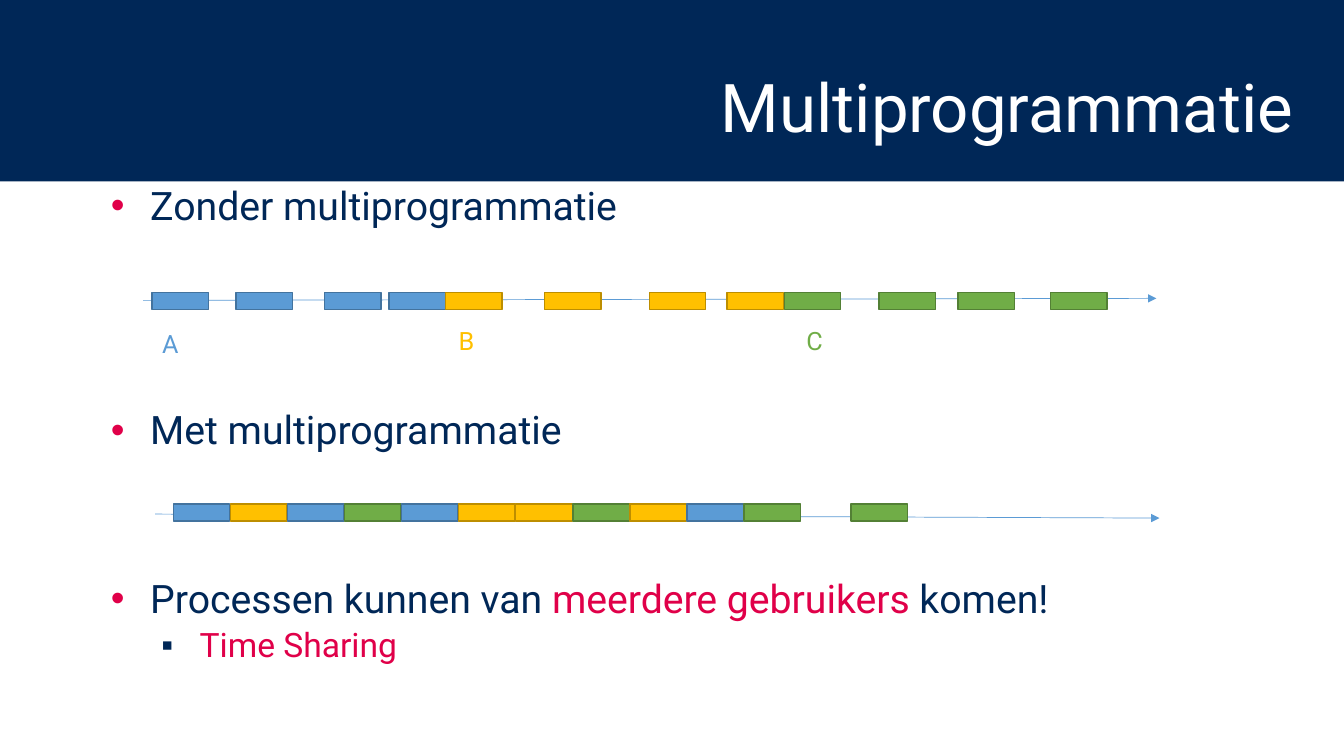
"""Builds a slide comparing process timelines without and with multiprogramming."""
from dataclasses import dataclass

from lxml import etree
from pptx import Presentation
from pptx.dml.color import RGBColor
from pptx.enum.shapes import MSO_CONNECTOR, MSO_SHAPE
from pptx.enum.text import MSO_ANCHOR, MSO_AUTO_SIZE, PP_ALIGN
from pptx.oxml.ns import qn
from pptx.util import Inches, Pt


@dataclass(frozen=True)
class Theme:
    """Colours and type sizes of the slide."""
    font: str = "Roboto"
    navy: str = "002757"
    accent: str = "E00049"
    white: str = "FFFFFF"
    axis: str = "5B9BD5"
    title_size: int = 48
    item_size: int = 28
    subitem_size: int = 24
    label_size: int = 18


PROCESSES = {
    "A": ("5B9BD5", "43739E"),
    "B": ("FFC000", "BD8E00"),
    "C": ("70AD47", "538035"),
}
BURST_WIDTH, BURST_HEIGHT = 0.56, 0.17


class SlideBuilder:
    """Draws themed elements on one slide."""

    def __init__(self, slide, theme):
        self.slide = slide
        self.theme = theme

    def place(self, shape, left, top, width, height):
        """Moves a shape to a position in inches."""
        shape.left, shape.top = Inches(left), Inches(top)
        shape.width, shape.height = Inches(width), Inches(height)

    def style(self, run, size, color):
        """Formats a run in the theme font."""
        run.font.name = self.theme.font
        run.font.size = Pt(size)
        run.font.color.rgb = RGBColor.from_string(color)

    def rectangle(self, left, top, width, height, fill, outline=None):
        """Adds a flat rectangle, outlined on request."""
        box = self.slide.shapes.add_shape(
            MSO_SHAPE.RECTANGLE, Inches(left), Inches(top), Inches(width), Inches(height))
        box.shadow.inherit = False
        box.fill.solid()
        box.fill.fore_color.rgb = RGBColor.from_string(fill)
        if outline:
            box.line.color.rgb = RGBColor.from_string(outline)
            box.line.width = Pt(1)
        else:
            box.line.fill.background()
        return box

    def header(self, text):
        """Sets the title on a dark band."""
        band = self.rectangle(0, 0, 13.33, 1.8, self.theme.navy)
        self.slide.shapes._spTree.insert(2, band._element)
        title = self.slide.shapes.title
        self.place(title, 2.05, 0.4, 10.88, 1.4)
        frame = title.text_frame
        frame.text = text
        frame.auto_size = MSO_AUTO_SIZE.NONE
        frame.vertical_anchor = MSO_ANCHOR.MIDDLE
        heading = frame.paragraphs[0]
        heading.alignment = PP_ALIGN.RIGHT
        heading.line_spacing = 0.9
        self.style(heading.runs[0], self.theme.title_size, self.theme.white)

    def bullet(self, paragraph, symbol, color, margin, hanging):
        """Gives a paragraph a coloured bullet and a hanging indent."""
        properties = paragraph._p.get_or_add_pPr()
        properties.set("marL", str(Inches(margin)))
        properties.set("indent", str(-Inches(hanging)))
        tint = etree.SubElement(properties, qn("a:buClr"))
        etree.SubElement(tint, qn("a:srgbClr"), val=color)
        etree.SubElement(properties, qn("a:buFont"), typeface="Arial")
        etree.SubElement(properties, qn("a:buChar"), char=symbol)

    def points(self, items):
        """Fills the body with (level, space before, coloured parts) items."""
        theme = self.theme
        levels = (("•", theme.accent, 0.39, 0.39, theme.item_size),
                  ("▪", theme.navy, 0.88, 0.38, theme.subitem_size))
        body = self.slide.placeholders[1]
        self.place(body, 1, 1.8, 10.88, 4.64)
        frame = body.text_frame
        frame.auto_size = MSO_AUTO_SIZE.NONE
        frame.vertical_anchor = MSO_ANCHOR.TOP
        for index, (level, space, parts) in enumerate(items):
            point = frame.add_paragraph() if index else frame.paragraphs[0]
            *marker, size = levels[level]
            self.bullet(point, *marker)
            point.level = level
            point.line_spacing = 0.9
            point.space_before = Pt(space)
            for text, color in parts:
                run = point.add_run()
                run.text = text
                self.style(run, size, color)

    def arrow(self, start, end):
        """Adds a thin time axis ending in an arrowhead."""
        axis = self.slide.shapes.add_connector(
            MSO_CONNECTOR.STRAIGHT, *map(Inches, start + end))
        axis.line.color.rgb = RGBColor.from_string(self.theme.axis)
        axis.line.width = Pt(0.5)
        etree.SubElement(axis.line._get_or_add_ln(), qn("a:tailEnd"), type="triangle")
        etree.SubElement(axis._element.spPr, qn("a:effectLst"))

    def timeline(self, start, end, top, bursts):
        """Adds an axis with (process, left) bursts on it."""
        self.arrow(start, end)
        for process, left in bursts:
            self.rectangle(left, top, BURST_WIDTH, BURST_HEIGHT, *PROCESSES[process])

    def label(self, process, left, top):
        """Names a process in its own colour."""
        caption = self.slide.shapes.add_textbox(
            Inches(left), Inches(top), Inches(1.65), Inches(0.4))
        frame = caption.text_frame
        frame.word_wrap = True
        frame.text = process
        self.style(frame.paragraphs[0].runs[0], self.theme.label_size, PROCESSES[process][0])


def main():
    """Builds and saves the slide."""
    deck = Presentation()
    deck.slide_width, deck.slide_height = Inches(13.33), Inches(7.5)
    theme = Theme()
    builder = SlideBuilder(deck.slides.add_slide(deck.slide_layouts[1]), theme)

    builder.header("Multiprogrammatie")
    builder.points([
        (0, 0, [("Zonder multiprogrammatie", theme.navy)]),
        (0, 130, [("Met multiprogrammatie", theme.navy)]),
        (0, 90, [("Processen kunnen van ", theme.navy),
                 ("meerdere gebruikers ", theme.accent),
                 ("komen!", theme.navy)]),
        (1, 5, [("Time Sharing", theme.accent)]),
    ])

    sequential_starts = (1.51, 2.34, 3.22, 3.86, 4.42, 5.4, 6.44, 7.21, 7.78, 8.72, 9.5, 10.42)
    builder.timeline((1.42, 2.98), (11.47, 2.96), 2.9, zip("AAAABBBBCCCC", sequential_starts))
    for process, left, top in (("A", 1.51, 3.21), ("B", 4.45, 3.18), ("C", 7.9, 3.18)):
        builder.label(process, left, top)

    first, last = 1.72, 7.38
    interleaved = "ABACABBCBAC"
    pitch = (last - first) / (len(interleaved) - 1)
    bursts = [(process, first + pitch * turn) for turn, process in enumerate(interleaved)]
    builder.timeline((1.54, 5.1), (11.5, 5.14), 5, bursts + [("C", 8.44)])

    deck.save("out.pptx")


if __name__ == "__main__":
    main()
